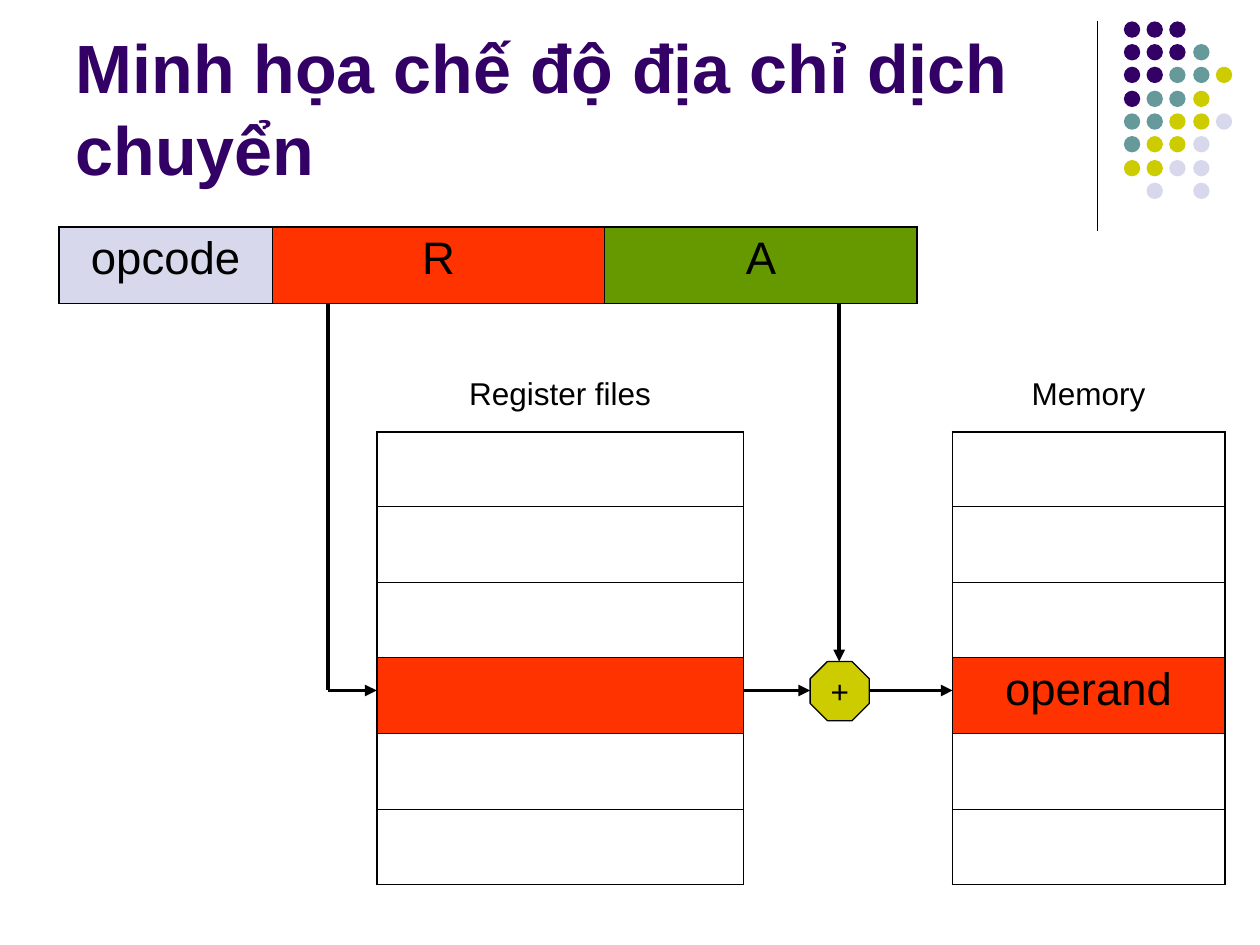
from collections import namedtuple
from dataclasses import dataclass

from lxml import etree
from pptx import Presentation
from pptx.dml.color import RGBColor
from pptx.enum.shapes import MSO_CONNECTOR, MSO_SHAPE
from pptx.enum.text import MSO_ANCHOR, MSO_AUTO_SIZE, PP_ALIGN
from pptx.oxml.ns import qn
from pptx.util import Pt

STRAIGHT = MSO_CONNECTOR.STRAIGHT
OVAL, OCTAGON = MSO_SHAPE.OVAL, MSO_SHAPE.OCTAGON
BOTTOM, MIDDLE, TOP = MSO_ANCHOR.BOTTOM, MSO_ANCHOR.MIDDLE, MSO_ANCHOR.TOP
LEFT, CENTER = PP_ALIGN.LEFT, PP_ALIGN.CENTER
NO_FIT = MSO_AUTO_SIZE.NONE
PX = 9144
TITLE_ONLY = 5

Box = namedtuple("Box", "left top width height")


@dataclass(frozen=True)
class Theme:
    font: str = "Arial"
    purple: str = "330066"
    teal: str = "669999"
    olive: str = "CCCC00"
    lilac: str = "D8D8EC"
    red: str = "FF3300"
    green: str = "669900"
    black: str = "000000"
    title_size: int = 39
    cell_size: int = 26
    label_size: int = 18
    wire: float = 2.25
    outline: float = 0.75
    table_edge: float = 1.08
    table_rule: float = 0.45


THEME = Theme()
DOT_ROWS = ("PPP", "PPPT", "PPTTO", "PTTO", "TTOOL", "TOOL", "OOLL", " L L")
DOT_COLOURS = {"P": THEME.purple, "T": THEME.teal, "O": THEME.olive, "L": THEME.lilac}
ROW_HEIGHTS = [59] + [60] * 5
SELECTED_ROW = 3


def emu(*lengths):
    return [length * PX for length in lengths]


def apply_format(target, values):
    for attribute, value in values.items():
        setattr(target, attribute, value)


def write(frame, wording, size, align=CENTER, bold=False, colour=THEME.black):
    frame.text = wording
    paragraph = frame.paragraphs[0]
    apply_format(paragraph, {"alignment": align, "space_before": Pt(0)})
    font = paragraph.runs[0].font
    apply_format(font, {"name": THEME.font, "size": Pt(size), "bold": bold})
    font.color.rgb = RGBColor.from_string(colour)


def paint(shape, colour):
    shape.shadow.inherit = False
    shape.fill.solid()
    shape.fill.fore_color.rgb = RGBColor.from_string(colour)


def draw_line(slide, start, end, width=THEME.wire, arrow=False):
    connector = slide.shapes.add_connector(STRAIGHT, *emu(*start, *end))
    connector.line.color.rgb = RGBColor.from_string(THEME.black)
    connector.line.width = Pt(width)
    properties = connector._element.spPr
    if arrow:
        etree.SubElement(properties.find(qn("a:ln")), qn("a:tailEnd"), type="triangle")
    etree.SubElement(properties, qn("a:effectLst"))


def set_border(cell, side, width):
    border = etree.SubElement(
        cell._tc.get_or_add_tcPr(), qn(f"a:ln{side}"), w=str(Pt(width)))
    fill = etree.SubElement(border, qn("a:solidFill"))
    etree.SubElement(fill, qn("a:srgbClr"), val=THEME.black)


def add_grid(slide, box, widths, heights, contents):
    table = slide.shapes.add_table(len(heights), len(widths), *emu(*box)).table
    apply_format(table, {"first_row": False, "horz_banding": False})
    for column, width in zip(table.columns, widths):
        column.width = width * PX
    for row, height in zip(table.rows, heights):
        row.height = height * PX
    for r in range(len(heights)):
        for c in range(len(widths)):
            cell = table.cell(r, c)
            at_edge = {"L": c == 0, "R": c == len(widths) - 1,
                       "T": r == 0, "B": r == len(heights) - 1}
            for side, outer in at_edge.items():
                set_border(cell, side, THEME.table_edge if outer else THEME.table_rule)
            wording, colour = contents.get((r, c), ("", None))
            cell.vertical_anchor = TOP
            if colour:
                cell.fill.solid()
                cell.fill.fore_color.rgb = RGBColor.from_string(colour)
            else:
                cell.fill.background()
            if wording:
                write(cell.text_frame, wording, THEME.cell_size)


def add_ornament(slide, box):
    draw_line(slide, (box.left, box.top), (box.left, box.top + box.height), THEME.outline)
    dots = slide.shapes.add_group_shape()
    for r, row in enumerate(DOT_ROWS):
        for c, key in enumerate(row):
            if key in DOT_COLOURS:
                left = box.left + 21 + c * 55 // 3
                top = box.top + r * 55 // 3
                dot = dots.shapes.add_shape(OVAL, *emu(left, top, 13, 13))
                paint(dot, DOT_COLOURS[key])
                dot.line.fill.background()


def add_title(slide, box, wording):
    title = slide.shapes.title
    apply_format(title, dict(zip(box._fields, emu(*box))))
    apply_format(title.text_frame, {
        "word_wrap": True, "auto_size": NO_FIT, "vertical_anchor": BOTTOM})
    write(title.text_frame, wording, THEME.title_size, LEFT, True, THEME.purple)


def add_instruction(slide, box):
    fields = {(0, 0): ("opcode", THEME.lilac),
              (0, 1): ("R", THEME.red),
              (0, 2): ("A", THEME.green)}
    add_grid(slide, box, [169, 264, box.width - 433], [box.height], fields)


def add_store(slide, box, caption, selected=""):
    label = slide.shapes.add_textbox(*emu(box.left, box.top - 51, box.width, 40))
    label.text_frame.word_wrap = True
    write(label.text_frame, caption, THEME.label_size)
    add_grid(slide, box, [box.width], ROW_HEIGHTS,
             {(SELECTED_ROW, 0): (selected, THEME.red)})


def add_adder(slide, box):
    adder = slide.shapes.add_shape(OCTAGON, *emu(*box))
    adder.adjustments[0] = 0.293
    paint(adder, THEME.olive)
    adder.line.color.rgb = RGBColor.from_string(THEME.black)
    adder.line.width = Pt(THEME.outline)
    apply_format(adder.text_frame, {"word_wrap": False, "vertical_anchor": MIDDLE})
    write(adder.text_frame, "+", THEME.label_size)


def add_wires(slide, instruction, registers, adder, memory):
    field_bottom = instruction.top + instruction.height
    bus_x = registers.left - 39
    adder_x = adder.left + adder.width // 2
    level = adder.top + adder.height // 2
    draw_line(slide, (bus_x, field_bottom), (bus_x, level))
    draw_line(slide, (adder_x, field_bottom), (adder_x, adder.top), arrow=True)
    hops = ((bus_x, registers.left),
            (registers.left + registers.width, adder.left),
            (adder.left + adder.width, memory.left))
    for start, end in hops:
        draw_line(slide, (start, level), (end, level), arrow=True)


def main():
    presentation = Presentation()
    apply_format(presentation, {"slide_width": 1000 * PX, "slide_height": 750 * PX})
    slide = presentation.slides.add_slide(presentation.slide_layouts[TITLE_ONLY])
    instruction = Box(47, 180, 681, 61)
    registers = Box(299, 343, 291, sum(ROW_HEIGHTS))
    memory = Box(756, 343, 216, sum(ROW_HEIGHTS))
    adder = Box(643, 525, 47, 47)
    add_ornament(slide, Box(871, 17, 107, 166))
    add_title(slide, Box(50, 13, 825, 142), "Minh họa chế độ địa chỉ dịch chuyển")
    add_instruction(slide, instruction)
    add_store(slide, registers, "Register files")
    add_store(slide, memory, "Memory", "operand")
    add_adder(slide, adder)
    add_wires(slide, instruction, registers, adder, memory)
    presentation.save("out.pptx")


if __name__ == "__main__":
    main()
